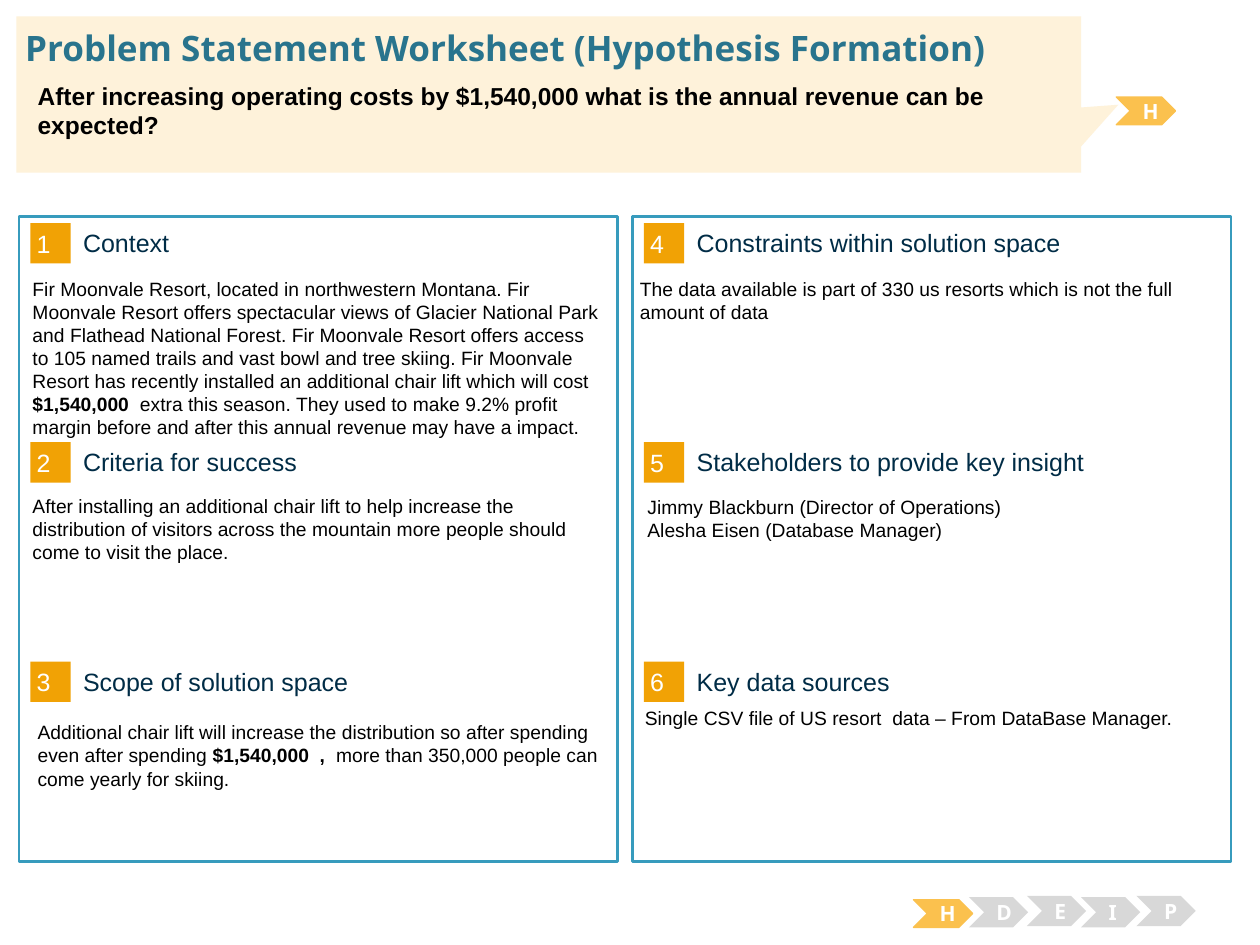
from lxml.etree import SubElement
from pptx import Presentation
from pptx.dml.color import RGBColor
from pptx.enum.shapes import MSO_SHAPE
from pptx.enum.text import MSO_ANCHOR, PP_ALIGN
from pptx.util import Inches, Pt

COLORS = {
    "white": "FFFFFF", "black": "000000", "border": "379BBD",
    "badge": "F1A205", "heading": "002C46", "title": "29748D",
    "callout": "FEF2DA", "active": "FBC14E", "inactive": "D8D8D8",
}


def add_box(kind, at, fill=None, line=None, line_width=0.75):
    """Add a flat preset shape, or a text box when kind is None."""
    at = [Inches(v) for v in at]
    if kind is None:
        return s.shapes.add_textbox(*at)
    sp = s.shapes.add_shape(kind, *at)
    sp.shadow.inherit = False
    sp.fill.solid()
    sp.fill.fore_color.rgb = RGBColor.from_string(COLORS[fill])
    if line:
        sp.line.color.rgb = RGBColor.from_string(COLORS[line])
        sp.line.width = Pt(line_width)
    else:
        sp.line.fill.background()
    return sp


def write(sp, paragraphs, size, color, font="Arial", bold=False,
          inset=(0.1, 0.05), anchor=MSO_ANCHOR.TOP, align=PP_ALIGN.LEFT):
    """Fill a shape with paragraphs, each a list of (text, bold) runs or a string."""
    tf = sp.text_frame
    tf.word_wrap = True
    tf.vertical_anchor = anchor
    tf.margin_left = tf.margin_right = Inches(inset[0])
    tf.margin_top = tf.margin_bottom = Inches(inset[1])
    for i, runs in enumerate(paragraphs):
        p = tf.add_paragraph() if i else tf.paragraphs[0]
        p.alignment = align
        for text, run_bold in [(runs, bold)] if isinstance(runs, str) else runs:
            r = p.add_run()
            r.text = text
            r.font.name = font
            r.font.size = Pt(size)
            r.font.bold = run_bold
            r.font.color.rgb = RGBColor.from_string(COLORS[color])


prs = Presentation()
prs.slide_width, prs.slide_height = Inches(10), Inches(7.5)
s = prs.slides.add_slide(prs.slide_layouts[5])

# Two panels with three numbered sections each
headings = [
    ["Context", "Criteria for success", "Scope of solution space"],
    ["Constraints within solution space", "Stakeholders to provide key insight",
     "Key data sources"],
]
for col, column in enumerate(headings):
    x = 0.15 + 4.87 * col
    add_box(MSO_SHAPE.RECTANGLE, (x, 1.72, 4.75, 5.12), "white", "border", 1.5)
    for row, heading in enumerate(column):
        y = 1.77 + 1.74 * row
        badge = add_box(MSO_SHAPE.RECTANGLE, (x + 0.09, y, 0.32, 0.32), "badge")
        write(badge, [str(3 * col + row + 1)], 14.3, "white",
              inset=(0.05, 0.05), anchor=MSO_ANCHOR.MIDDLE)
        label = add_box(None, (x + 0.51, y + 0.03, 3.93, 0.25))
        write(label, [heading], 14.3, "heading", inset=(0, 0),
              anchor=MSO_ANCHOR.MIDDLE)

# Section texts: left, top, height, paragraphs
bodies = [
    (0.16, 2.15, 1.36, [[
        ("Fir Moonvale Resort, located in northwestern Montana. Fir Moonvale "
         "Resort offers spectacular views of Glacier National Park and Flathead "
         "National Forest. Fir Moonvale Resort offers access to 105 named trails "
         "and vast bowl and tree skiing. Fir Moonvale Resort has recently "
         "installed an additional chair lift which will cost ", False),
        ("$1,540,000  ", True),
        ("extra this season. They used to make 9.2% profit margin before and "
         "after this annual revenue may have a impact.", False)]]),
    (0.16, 3.87, 1.54, [
        "After installing an additional chair lift to help increase the "
        "distribution of visitors across the mountain more people should come "
        "to visit the place."]),
    (0.2, 5.67, 0.82, [[
        ("Additional chair lift will increase the distribution so after "
         "spending even after spending ", False),
        ("$1,540,000  , ", True),
        (" more than 350,000 people can come yearly for skiing.", False)]]),
    (4.98, 2.15, 1.18, [
        "The data available is part of 330 us resorts which is not the full "
        "amount of data"]),
    (5.04, 3.88, 1.18, [
        "Jimmy Blackburn (Director of Operations)",
        "Alesha Eisen (Database Manager)"]),
    (5.02, 5.56, 1.18, [
        "Single CSV file of US resort  data – From DataBase Manager."]),
]
for x, y, height, paragraphs in bodies:
    write(add_box(None, (x, y, 4.73, height)), paragraphs, 11, "black")

# Stage tracker at the bottom and the current stage beside the callout
stages = [("H", 7.25, 7.14), ("D", 7.69, 7.12), ("E", 8.15, 7.11),
          ("I", 8.58, 7.12), ("P", 9.02, 7.11), ("H", 8.86, 0.77)]
for letter, x, y in stages:
    if letter == "H":
        sp = add_box(MSO_SHAPE.CHEVRON, (x, y, 0.47, 0.22), "active", "active")
    else:
        sp = add_box(MSO_SHAPE.CHEVRON, (x, y, 0.47, 0.24), "inactive")
    write(sp, [letter], 12, "white", "Noto Sans", True,
          anchor=MSO_ANCHOR.MIDDLE, align=PP_ALIGN.CENTER)

# Question callout with the title in front of it
callout = add_box(MSO_SHAPE.RECTANGULAR_CALLOUT, (0.13, 0.13, 8.45, 1.24), "callout")
callout.adjustments[0], callout.adjustments[1] = 0.535, 0.066

title = s.shapes.title
title.left, title.top = Inches(0.2), Inches(0.21)
title.width, title.height = Inches(9.62), Inches(0.34)
write(title, ["Problem Statement Worksheet (Hypothesis Formation)"], 20, "title",
      "Noto Sans", True, inset=(0, 0))
callout.element.addnext(title.element)

question = add_box(None, (0.2, 0.59, 9.39, 0.54))
write(question, [
    "After increasing operating costs by $1,540,000 what is the annual revenue can be",
    "expected?"], 14, "black", bold=True)

prs.save("out.pptx")
